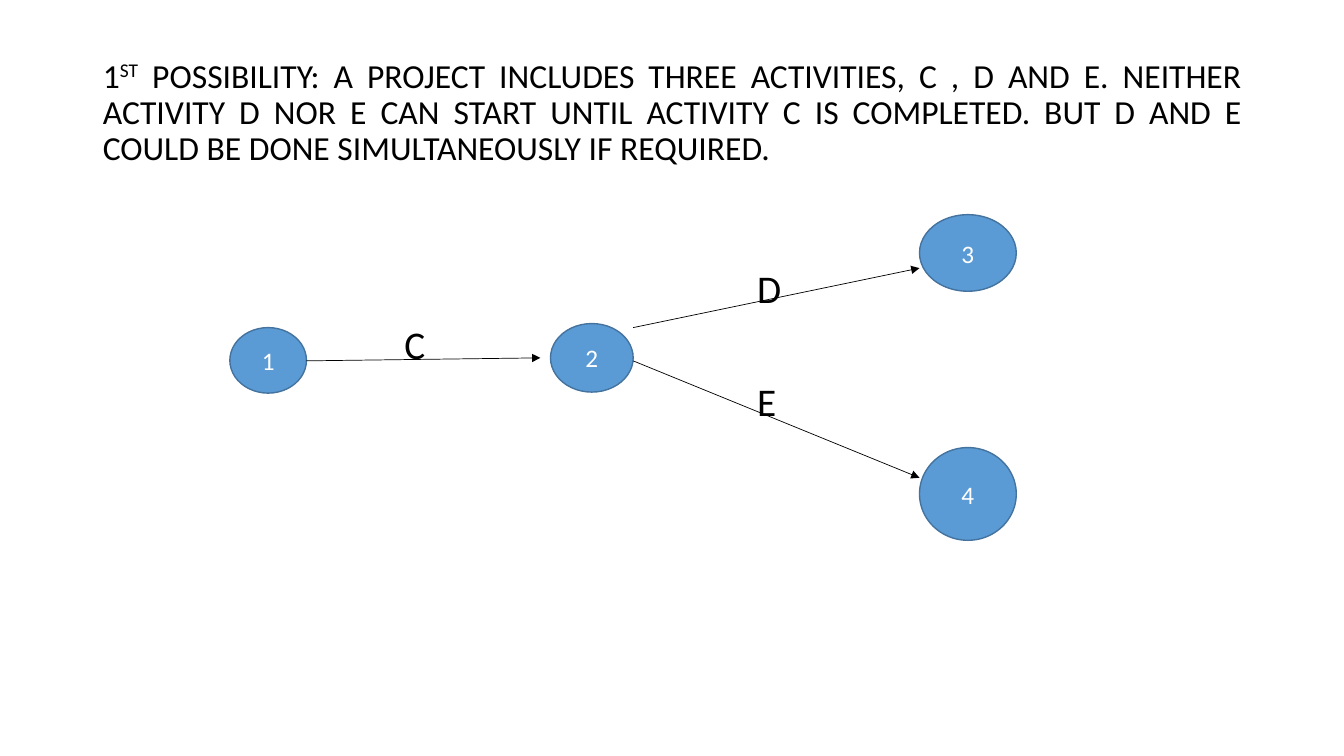
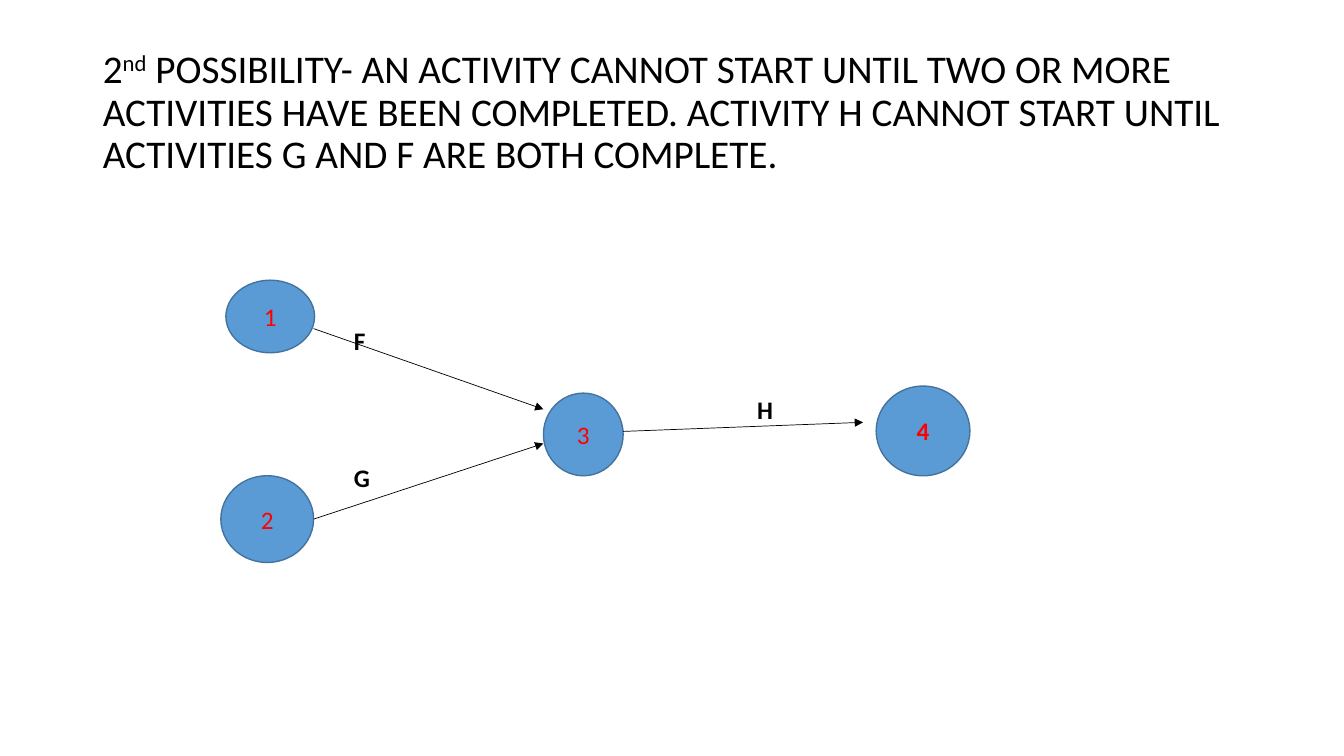
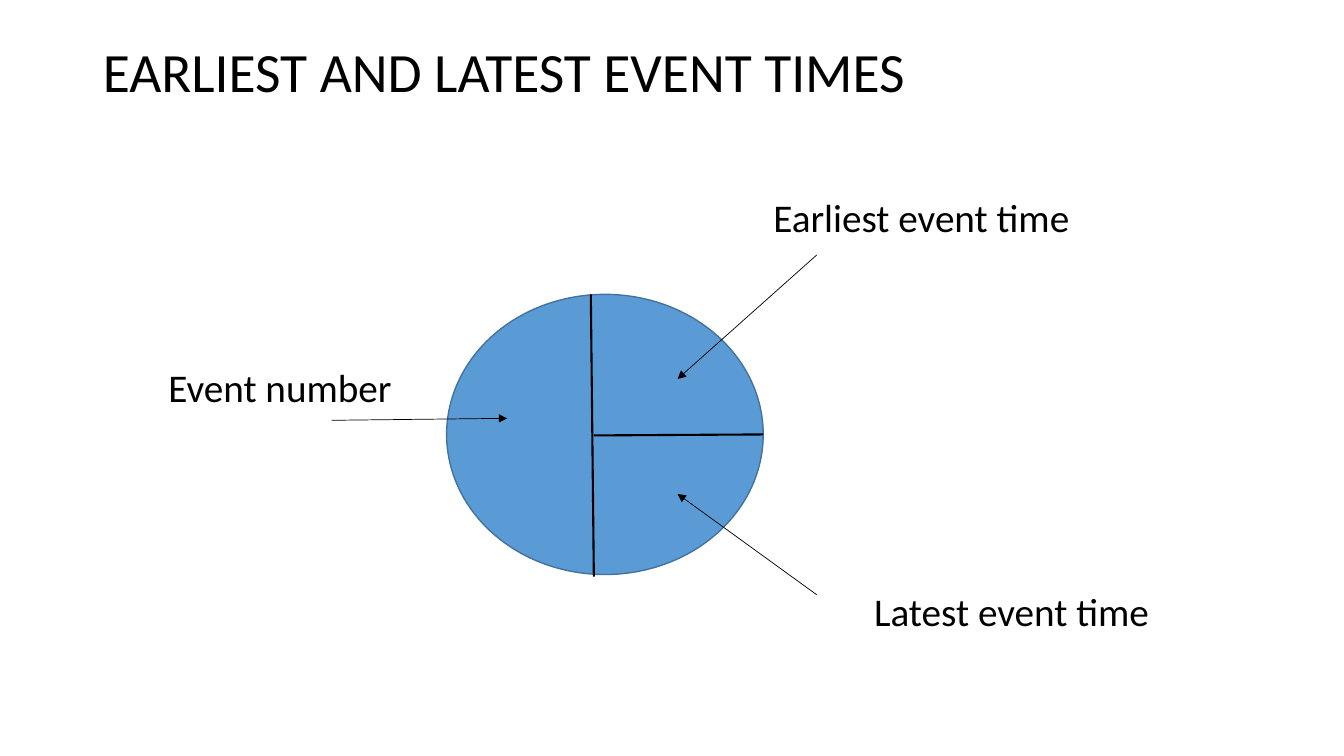
from lxml import etree
from pptx import Presentation
from pptx.dml.color import RGBColor
from pptx.enum.shapes import MSO_CONNECTOR, MSO_SHAPE
from pptx.enum.text import MSO_ANCHOR, MSO_AUTO_SIZE, PP_ALIGN
from pptx.oxml.ns import qn
from pptx.util import Emu, Pt

ELLIPSE, STRAIGHT = MSO_SHAPE.OVAL, MSO_CONNECTOR.STRAIGHT
TOP, MIDDLE = MSO_ANCHOR.TOP, MSO_ANCHOR.MIDDLE
LEFT, CENTER, JUSTIFY = PP_ALIGN.LEFT, PP_ALIGN.CENTER, PP_ALIGN.JUSTIFY
NO_FIT = MSO_AUTO_SIZE.NONE

PX = 9144  # 100 px to the inch
FONT = "Calibri"
BLACK, WHITE, RED = "000000", "FFFFFF", "FF0000"
NODE_FILL, NODE_LINE = "5B9BD5", "43739E"
TITLE_BOX = (92, 40, 1150, 145)
NETWORK_ORIGIN = (92, 200)
EVENT_ORIGIN = (60, 129)


def px(*lengths):
    return [Emu(n * PX) for n in lengths]


def rgb(color):
    return RGBColor.from_string(color)


def add_run(p, text, size, color=BLACK, bold=False):
    r = p.add_run()
    r.text = text
    for name, value in dict(name=FONT, size=Pt(size), bold=bold).items():
        setattr(r.font, name, value)
    r.font.color.rgb = rgb(color)
    return r


def format_frame(tf, anchor):
    for name, value in dict(word_wrap=True, auto_size=NO_FIT, vertical_anchor=anchor).items():
        setattr(tf, name, value)


def add_titled_slide(prs, parts, size, align=LEFT, box=TITLE_BOX):
    """Parts alternate between normal and superscript text."""
    s = prs.slides.add_slide(prs.slide_layouts[5])
    title = s.shapes.title
    title.left, title.top, title.width, title.height = px(*box)
    tf = title.text_frame
    format_frame(tf, MIDDLE)
    p = tf.paragraphs[0]
    p.alignment, p.line_spacing = align, 0.9
    for i, text in enumerate(parts):
        r = add_run(p, text, size)
        if i % 2:
            r._r.get_or_add_rPr().set("baseline", "30000")
    return s


def add_node(s, origin, box, text="", color=WHITE, bold=False):
    x, y, w, h = box
    sp = s.shapes.add_shape(ELLIPSE, *px(origin[0] + x, origin[1] + y, w, h))
    sp.shadow.inherit = False
    sp.fill.solid()
    sp.fill.fore_color.rgb = rgb(NODE_FILL)
    sp.line.color.rgb = rgb(NODE_LINE)
    sp.line.width = Pt(1)
    if text:
        format_frame(sp.text_frame, MIDDLE)
        p = sp.text_frame.paragraphs[0]
        p.alignment = CENTER
        add_run(p, text, 18, color, bold)


def add_line(s, origin, ends, width=0.5, arrow=True):
    x, y = origin
    x1, y1, x2, y2 = ends
    line = s.shapes.add_connector(STRAIGHT, *px(x + x1, y + y1, x + x2, y + y2))
    line.line.color.rgb = rgb(BLACK)
    line.line.width = Pt(width)
    if arrow:
        ln = line.line._get_or_add_ln()
        etree.SubElement(ln, qn("a:tailEnd"), type="triangle")
    etree.SubElement(line._element.spPr, qn("a:effectLst"))


def add_label(s, origin, text, at, width, size, bold=False):
    x, y = origin[0] + at[0], origin[1] + at[1]
    tf = s.shapes.add_textbox(*px(x, y, width, 48)).text_frame
    format_frame(tf, TOP)
    for side in ("left", "top", "right", "bottom"):
        setattr(tf, f"margin_{side}", 0)
    add_run(tf.paragraphs[0], text, size, bold=bold)


def add_network(s, origin, nodes, arrows, labels, label_size, color=WHITE,
                bold_labels=False, bold_nodes=()):
    """Activity network: numbered events joined by lettered arrows."""
    for text, at in labels.items():
        add_label(s, origin, text, at, 60, label_size, bold_labels)
    for text, box in nodes.items():
        add_node(s, origin, box, text, color, text in bold_nodes)
    for ends in arrows:
        add_line(s, origin, ends)


def add_event_key(s, origin):
    """Event circle in three parts, each with a label and an arrow."""
    labels = {
        "Earliest event time": (707, 63),
        "Event number": (107, 231),
        "Latest event time": (807, 454),
    }
    for text, at in labels.items():
        add_label(s, origin, text, at, 340, 28)
    add_node(s, origin, (383, 163, 314, 278))
    for divider in ((526, 163, 529, 443), (529, 303, 697, 302)):
        add_line(s, origin, divider, 1.5, arrow=False)
    for ends in ((750, 124, 612, 247), (269, 288, 443, 286), (750, 461, 612, 361)):
        add_line(s, origin, ends)


def main():
    prs = Presentation()
    prs.slide_width, prs.slide_height = px(1333, 750)

    # One activity followed by two
    s = add_titled_slide(prs, (
        "1", "ST",
        " POSSIBILITY: A PROJECT INCLUDES THREE ACTIVITIES, C , D AND E. NEITHER "
        "ACTIVITY D NOR E CAN START UNTIL ACTIVITY C IS COMPLETED. BUT D AND E "
        "COULD BE DONE SIMULTANEOUSLY IF REQUIRED."), 24, JUSTIFY)
    add_network(
        s, NETWORK_ORIGIN,
        nodes={"1": (136, 125, 76, 65), "2": (454, 121, 82, 68),
               "3": (820, 13, 96, 76), "4": (820, 244, 96, 92)},
        arrows=((212, 158, 444, 155), (536, 125, 820, 66), (536, 158, 820, 274)),
        labels={"D": (659, 62), "C": (309, 118), "E": (659, 174)},
        label_size=28)

    # Two activities followed by one
    s = add_titled_slide(prs, (
        "2", "nd",
        " POSSIBILITY- AN ACTIVITY CANNOT START UNTIL TWO OR MORE ACTIVITIES HAVE "
        "BEEN COMPLETED. ACTIVITY H CANNOT START UNTIL ACTIVITIES G AND F ARE BOTH "
        "COMPLETE."), 28)
    add_network(
        s, NETWORK_ORIGIN,
        nodes={"1": (132, 78, 88, 72), "2": (127, 272, 92, 86),
               "3": (447, 190, 79, 82), "4": (777, 183, 93, 89)},
        arrows=((219, 126, 447, 206), (219, 315, 447, 240), (526, 228, 764, 219)),
        labels={"F": (259, 123), "H": (659, 191), "G": (259, 259)},
        label_size=18, color=RED, bold_labels=True, bold_nodes=("4",))

    # Event times
    s = add_titled_slide(prs, ("EARLIEST AND LATEST EVENT TIMES",), 39.6,
                         box=(92, 40, 1024, 68))
    add_event_key(s, EVENT_ORIGIN)

    prs.save("out.pptx")


if __name__ == "__main__":
    main()
